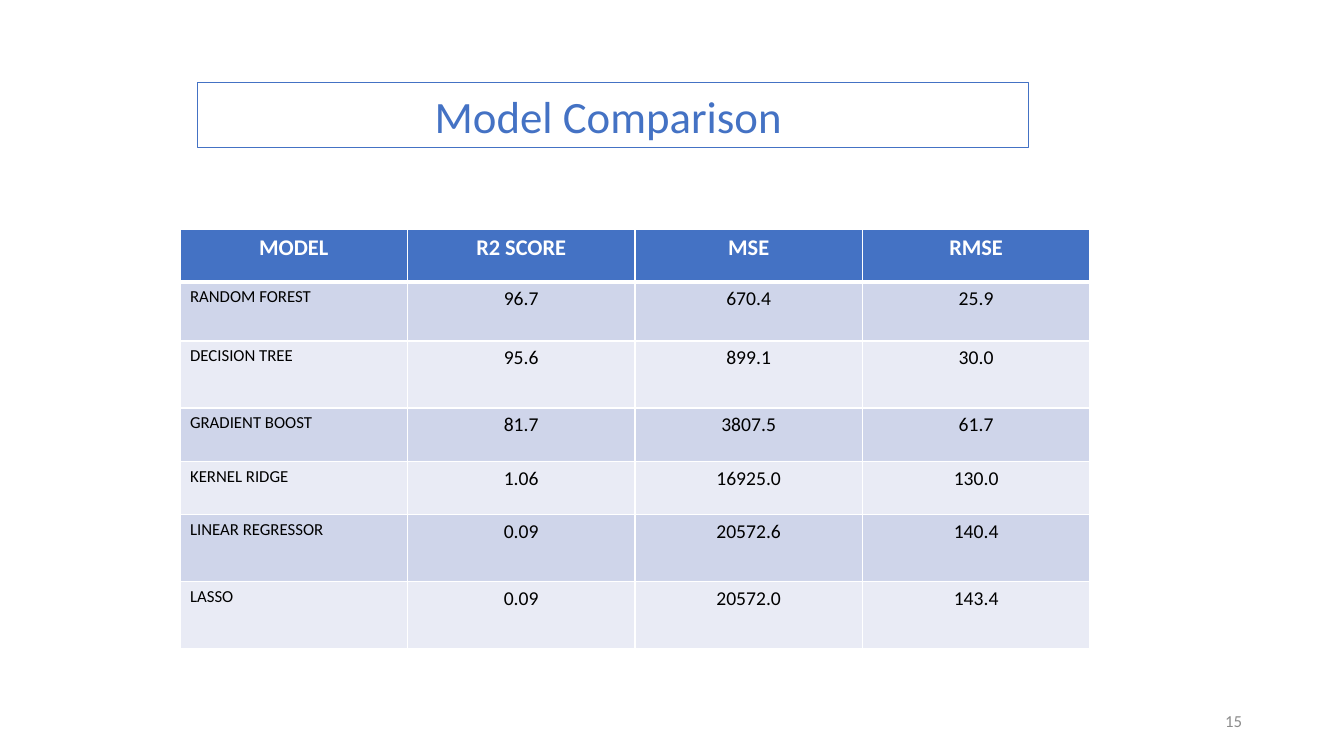
from dataclasses import dataclass
from lxml.etree import SubElement
from pptx import Presentation
from pptx.dml.color import RGBColor
from pptx.enum.shapes import MSO_SHAPE
from pptx.enum.text import MSO_ANCHOR, PP_ALIGN
from pptx.oxml.ns import qn
from pptx.util import Emu, Pt


@dataclass(frozen=True)
class Theme:
    """Colours, font and type sizes of the slide."""
    font: str = "Calibri"
    blue: str = "4472C4"
    white: str = "FFFFFF"
    black: str = "000000"
    grey: str = "8C8C8C"
    bands: tuple = ("CFD5EA", "E9EBF5")
    title: int = 32
    head: int = 16
    value: int = 14
    small: int = 12


THEME = Theme()
HEADS = ("MODEL", "R2 SCORE", "MSE", "RMSE")
SCORES = (
    ("RANDOM FOREST", "96.7", "670.4", "25.9"),
    ("DECISION TREE", "95.6", "899.1", "30.0"),
    ("GRADIENT BOOST", "81.7", "3807.5", "61.7"),
    ("KERNEL RIDGE", "1.06", "16925.0", "130.0"),
    ("LINEAR REGRESSOR", "0.09", "20572.6", "140.4"),
    ("LASSO", "0.09", "20572.0", "143.4"),
)
HEIGHTS = (53, 59, 67, 54, 53, 67, 67)


def px(count):
    """Turn px into EMU."""
    return Emu(round(count * 12192000 / 1344))


def box(*sides):
    """Turn left, top, width and height from px into EMU."""
    return [px(side) for side in sides]


def write(frame, text, size, color, align=PP_ALIGN.CENTER, bold=False):
    """Write one run into the first paragraph of a text frame."""
    para = frame.paragraphs[0]
    para.alignment = align
    run = para.add_run()
    run.text = text
    font = run.font
    font.name, font.size, font.bold = THEME.font, Pt(size), bold
    font.color.rgb = RGBColor.from_string(color)


def add_title(slide, text):
    """Add the outlined title box."""
    shape = slide.shapes.add_shape(MSO_SHAPE.RECTANGLE, *box(198, 83, 831, 65))
    shape.shadow.inherit = False
    shape.fill.background()
    shape.line.color.rgb = RGBColor.from_string(THEME.blue)
    shape.line.width = Pt(0.75)
    shape.text_frame.vertical_anchor = MSO_ANCHOR.MIDDLE
    write(shape.text_frame, text, THEME.title, THEME.blue)


def add_edges(cell, base):
    """Draw white cell borders, with the bottom one at the given width."""
    props = cell._tc.get_or_add_tcPr()
    for side, width in (("L", 1), ("R", 1), ("T", 1), ("B", base)):
        line = SubElement(props, qn(f"a:ln{side}"), w=str(Pt(width)))
        fill = SubElement(line, qn("a:solidFill"))
        SubElement(fill, qn("a:srgbClr"), val=THEME.white)


def fill_cell(cell, text, row, col):
    """Style and fill a cell according to its place in the table."""
    head = row == 0
    add_edges(cell, 3 if head else 1)
    cell.fill.solid()
    color = THEME.blue if head else THEME.bands[(row - 1) % 2]
    cell.fill.fore_color.rgb = RGBColor.from_string(color)
    if head:
        write(cell.text_frame, text, THEME.head, THEME.white, bold=True)
    elif col == 0:
        write(cell.text_frame, text, THEME.small, THEME.black, PP_ALIGN.LEFT)
    else:
        write(cell.text_frame, text, THEME.value, THEME.black)


def add_scores(slide):
    """Add the table of model scores."""
    rows = (HEADS, *SCORES)
    place = box(180, 229, 910, sum(HEIGHTS))
    table = slide.shapes.add_table(len(rows), len(HEADS), *place).table
    for row, (texts, height) in enumerate(zip(rows, HEIGHTS)):
        table.rows[row].height = px(height)
        for col, text in enumerate(texts):
            fill_cell(table.cell(row, col), text, row, col)


def add_number(slide, text):
    """Add the page number."""
    frame = slide.shapes.add_textbox(*box(950, 701, 302, 40)).text_frame
    frame.word_wrap = True
    frame.vertical_anchor = MSO_ANCHOR.MIDDLE
    write(frame, text, THEME.small, THEME.grey, PP_ALIGN.RIGHT)


def main():
    """Build and save the slide."""
    deck = Presentation()
    deck.slide_width, deck.slide_height = px(1344), px(756)
    slide = deck.slides.add_slide(deck.slide_layouts[6])
    add_scores(slide)
    add_title(slide, "Model Comparison ")
    add_number(slide, "15")
    deck.save("out.pptx")


if __name__ == "__main__":
    main()
